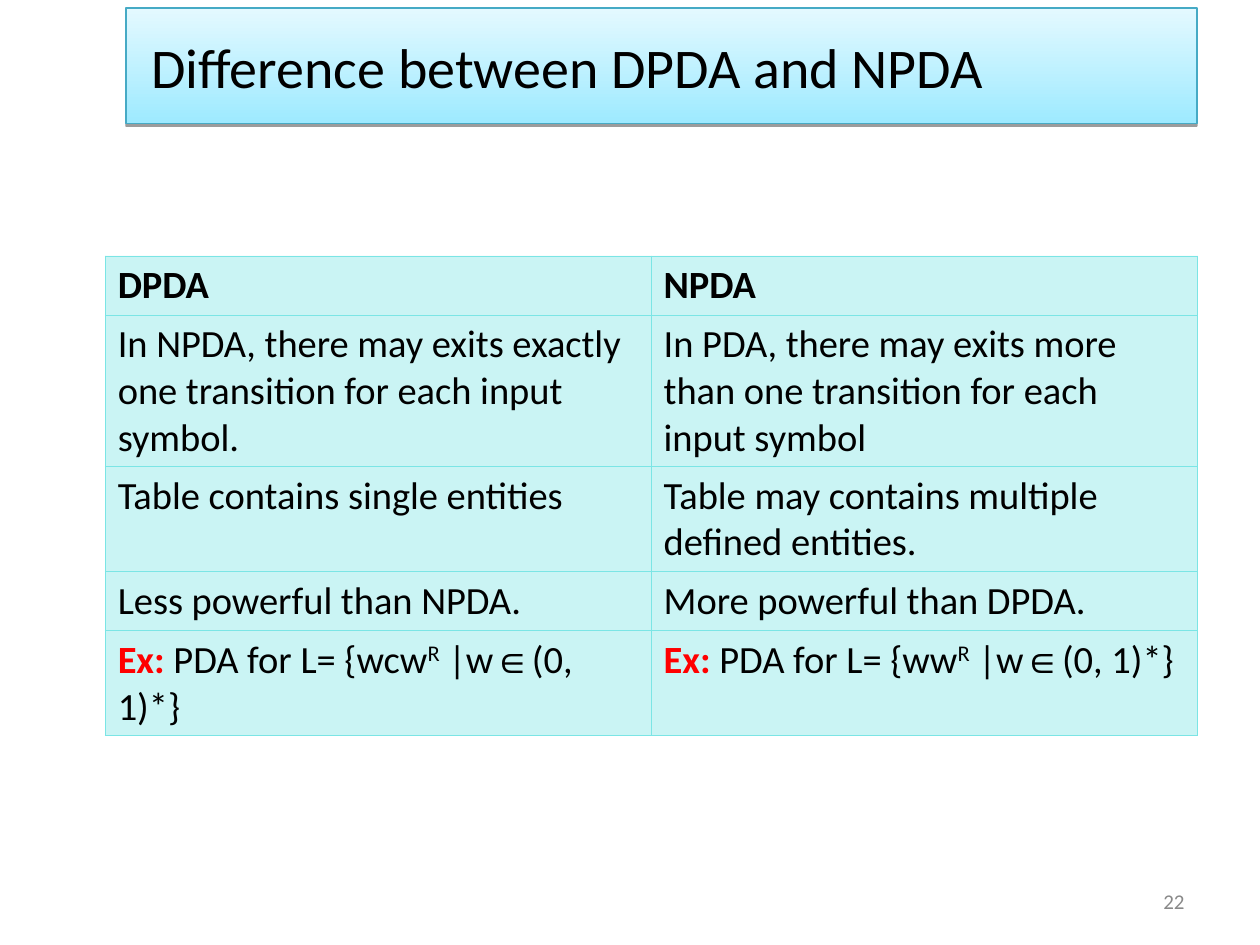
from lxml import etree
from pptx import Presentation
from pptx import util as u
from pptx.dml.color import RGBColor
from pptx.enum import shapes, text
from pptx.oxml import ns

BLACK, RED, AQUA = "000000", "FF0000", "7BE5E5"
ROW_HEIGHTS = [1.19, 3.04, 2.12, 1.19, 1.19]
ROWS = [
    ("DPDA", "NPDA"),
    ("In NPDA, there may exits exactly one transition for each input symbol.",
     "In PDA, there may exits more than one transition for each input symbol"),
    ("Table contains single entities", "Table may contains multiple defined entities."),
    ("Less powerful than NPDA.", "More powerful than DPDA."),
]
EXAMPLE_WORDS = ("wcw", "ww")


def rgb(value):
    return RGBColor.from_string(value)


def add_xml(parent, tag, **attrs):
    return etree.SubElement(parent, ns.qn(tag), attrs)


def set_font(font, size, color=BLACK, bold=False):
    font.name = "Calibri"
    font.size = u.Pt(size)
    font.bold = bold
    font.color.rgb = rgb(color)


def add_title(slide, left, top, width, height):
    sp = slide.shapes.add_shape(shapes.MSO_SHAPE.RECTANGLE,
                                u.Cm(left), u.Cm(top), u.Cm(width), u.Cm(height))
    sp.fill.gradient()
    sp.fill.gradient_angle = 90
    for stop, color in zip(sp.fill.gradient_stops, ("9EEAFF", "E4F9FF")):
        stop.color.rgb = rgb(color)
    sp.line.color.rgb = rgb("46AAC5")
    sp.line.width = u.Pt(0.75)
    sp.shadow.inherit = False
    effects = sp._element.spPr.find(ns.qn("a:effectLst"))
    shadow = add_xml(effects, "a:outerShdw", blurRad="0", dist=str(u.Pt(1.6)),
                     dir="5400000", rotWithShape="0")
    add_xml(add_xml(shadow, "a:srgbClr", val=BLACK), "a:alpha", val="38000")
    tf = sp.text_frame
    tf.word_wrap = True
    tf.margin_left = u.Cm(0.51)
    tf.vertical_anchor = text.MSO_ANCHOR.MIDDLE
    p = tf.paragraphs[0]
    p.text = "Difference between DPDA and NPDA"
    p.alignment = text.PP_ALIGN.LEFT
    set_font(p.font, 32)


def style_cell(cell):
    cell.fill.solid()
    cell.fill.fore_color.rgb = rgb(AQUA)
    tc_pr = cell._tc.get_or_add_tcPr()
    add_xml(tc_pr.find(".//" + ns.qn("a:srgbClr")), "a:alpha", val="40000")
    for i, side in enumerate(("a:lnL", "a:lnR", "a:lnT", "a:lnB")):
        ln = add_xml(tc_pr, side, w=str(u.Pt(0.45)))
        add_xml(add_xml(ln, "a:solidFill"), "a:srgbClr", val=AQUA)
        tc_pr.insert(i, ln)


def write_example(p, word):
    set_font(p.font, 22)
    parts = ("Ex: ", "PDA for L= {" + word, "R", " |w", "∈", "(0, 1)*}")
    runs = []
    for part in parts:
        r = p.add_run()
        r.text = part
        set_font(r.font, 22)
        runs.append(r)
    label, _, power, _, member, _ = runs
    set_font(label.font, 22, RED, True)
    power._r.get_or_add_rPr().set("baseline", "30000")
    member.font.name = "Arial"


def add_comparison(slide, left, top, width):
    table = slide.shapes.add_table(len(ROW_HEIGHTS), 2, u.Cm(left), u.Cm(top),
                                   u.Cm(width), u.Cm(sum(ROW_HEIGHTS))).table
    table.first_row = table.horz_banding = False
    for row, height in zip(table.rows, ROW_HEIGHTS):
        row.height = u.Cm(height)
    for cell in table.iter_cells():
        style_cell(cell)
    for i, words in enumerate(ROWS):
        for j, value in enumerate(words):
            p = table.cell(i, j).text_frame.paragraphs[0]
            p.text = value
            set_font(p.font, 22, bold=i == 0)
    for j, word in enumerate(EXAMPLE_WORDS):
        write_example(table.cell(len(ROWS), j).text_frame.paragraphs[0], word)


def add_page_number(slide, left, top, width, height):
    tf = slide.shapes.add_textbox(u.Cm(left), u.Cm(top), u.Cm(width), u.Cm(height)).text_frame
    tf.word_wrap = True
    tf.vertical_anchor = text.MSO_ANCHOR.MIDDLE
    p = tf.paragraphs[0]
    p.text = "22"
    p.alignment = text.PP_ALIGN.RIGHT
    set_font(p.font, 12, "898989")


def main():
    prs = Presentation()
    prs.slide_width, prs.slide_height = u.Cm(25.4), u.Cm(19.05)
    slide = prs.slides.add_slide(prs.slide_layouts[6])
    add_page_number(slide, 18.2, 17.66, 5.93, 1.01)
    add_title(slide, 2.54, 0.16, 21.59, 2.33)
    add_comparison(slide, 2.12, 5.16, 22.01)
    prs.save("out.pptx")


if __name__ == "__main__":
    main()
